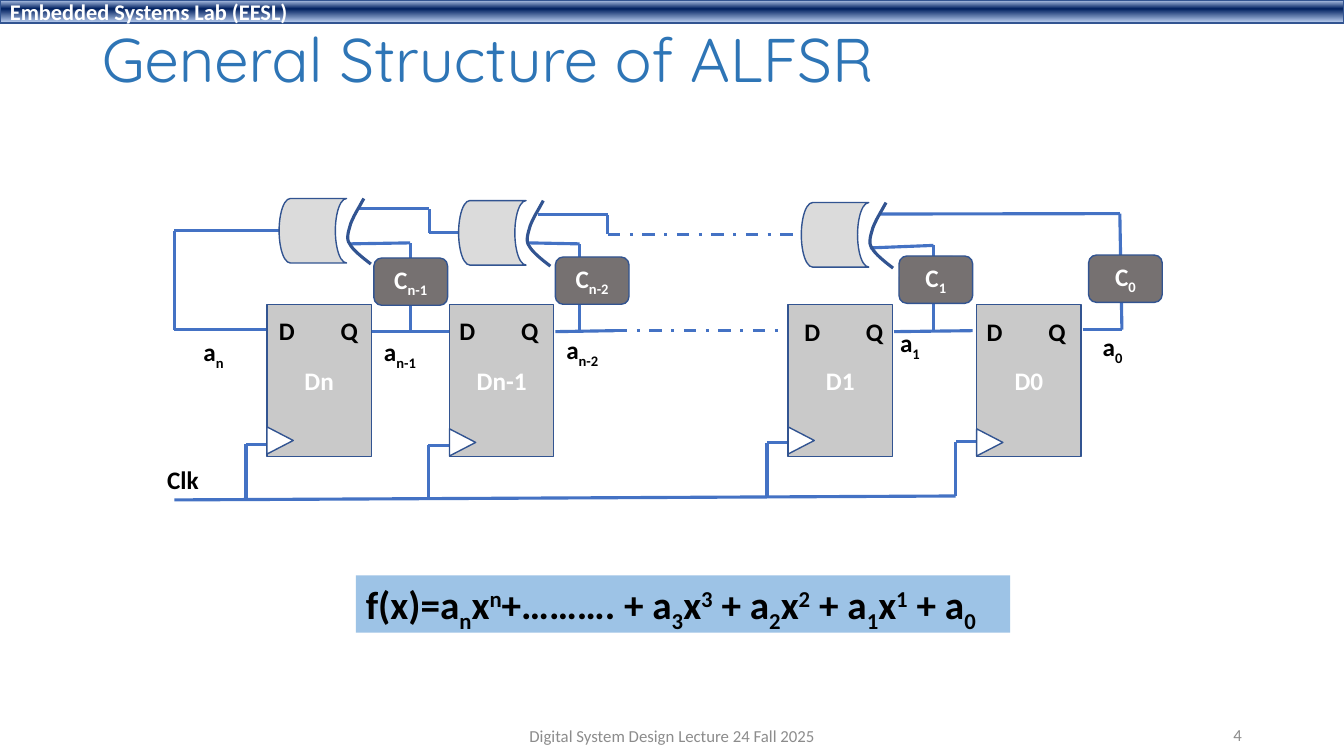
from lxml.etree import SubElement
from pptx import Presentation
from pptx.dml.color import RGBColor as RGB
from pptx.enum.dml import MSO_LINE_DASH_STYLE as DASH
from pptx.enum.shapes import MSO_CONNECTOR as CONN, MSO_SHAPE as SHAPE
from pptx.enum.text import MSO_ANCHOR as ANCHOR, MSO_AUTO_SIZE as AUTO, PP_ALIGN as ALIGN
from pptx.oxml.ns import qn
from pptx.util import Pt


class Theme:
    body_font, title_font = "Calibri", "Quicksand"
    title, wire, outline = "2E75B6", "4472C4", "325491"
    flop, gate, tap, formula = "C9C9C9", "DBDBDB", "767171", "9DC3E6"
    black, white, muted = "000000", "FFFFFF", "8C8C8C"
    header = [(2, "ABC0E4"), (38, "002060"), (93, "ACC1E5")]
    title_size, formula_size, label_size, header_size, footer_size = 44, 28, 18, 16, 12
    thin, thick = 1, 2.25


def write(sp, parts, size, color, bold=True, align=ALIGN.LEFT, anchor=ANCHOR.MIDDLE,
          wrap=True, font=Theme.body_font):
    tf = sp.text_frame
    tf.word_wrap = wrap
    tf.auto_size = AUTO.NONE if wrap else AUTO.SHAPE_TO_FIT_TEXT
    tf.vertical_anchor = anchor
    p = tf.paragraphs[0]
    p.alignment = align
    for part in parts:
        r = p.add_run()
        r.text = part.lstrip("_^")
        r.font.name, r.font.size, r.font.bold = font, Pt(size), bold
        r.font.color.rgb = RGB.from_string(color)
        if part[0] in "_^":
            r.font._element.set("baseline", "-25000" if part[0] == "_" else "30000")
    return p


def add_block(kind, x, y, w, h, fill):
    sp = slide.shapes.add_shape(kind, Pt(x), Pt(y), Pt(w), Pt(h))
    sp.shadow.inherit = False
    sp.fill.solid()
    sp.fill.fore_color.rgb = RGB.from_string(fill)
    sp.line.color.rgb = RGB.from_string(Theme.outline)
    sp.line.width = Pt(Theme.thin)
    return sp


prs = Presentation()
prs.slide_width, prs.slide_height = Pt(960), Pt(540)
slide = prs.slides.add_slide(prs.slide_layouts[5])

header = add_block(SHAPE.RECTANGLE, 0, 0, 960, 16.6, Theme.outline)
header.fill.gradient()
header.fill.gradient_angle = 270
stops = header._element.spPr.find(qn("a:gradFill")).find(qn("a:gsLst"))
for stop in list(stops):
    stops.remove(stop)
for pos, color in Theme.header:
    stop = SubElement(stops, qn("a:gs"), pos=str(pos * 1000))
    SubElement(stop, qn("a:srgbClr"), val=color)
write(header, ["Embedded Systems Lab (EESL)"], Theme.header_size, Theme.white)

title = slide.shapes.title
title.left, title.top, title.width, title.height = Pt(65.5), Pt(15.1), Pt(712), Pt(59.8)
p = write(title, ["General Structure of ALFSR"], Theme.title_size, Theme.title,
          bold=False, font=Theme.title_font)
p.line_spacing = 0.9

flops = [
    ("Dn", 190.8, 305.3, 317.2, 356.4, 192.2, 221.8),
    ("Dn-1", 321.1, 306.7, 318.2, 357.1, 321.1, 221.8),
    ("D1", 563, 305.3, 316.1, 355.7, 567.4, 222.5),
    ("D0", 697.7, 306.7, 315.4, 354.3, 697.7, 222.5),
]
gates = [(199.4, 141.8), (327.6, 143.3), (572.4, 144.7)]
taps = [("n-1", 267.1, 184.3), ("n-2", 396.7, 183.6), ("1", 642.2, 182.9), ("0", 777.6, 182.2)]

solid_routes = [
    [(682.6, 354.3), (124.6, 357.1)],
    [(199.4, 164.9), (124.6, 164.9), (124.6, 235.4), (190.8, 235.4)],
    [(265, 236.9), (321.1, 236.9)],
    [(293, 236.9), (293, 173.5), (249.8, 174.2)],
    [(327.6, 166.3), (306.7, 166.3), (306.7, 149), (256.3, 149)],
    [(396.7, 236.9), (439.2, 236.2)],
    [(414, 236.2), (414, 174.2), (377.3, 173.5)],
    [(434.2, 167), (434.2, 153.4), (384.5, 153.4)],
    [(638.6, 236.9), (694.8, 236.2)],
    [(666.7, 235.4), (666.7, 175.3), (621.4, 177.1)],
    [(773.3, 235.4), (801.4, 235.4), (799.9, 152.6), (627.8, 152.9)],
]
for name, x, arrow_y, clock_y, bus_y, pin_x, pin_y in flops:
    solid_routes.append([(x, clock_y), (x - 15.1, clock_y), (x - 15.1, bus_y)])
dashed_routes = [[(434.2, 167.8), (576, 167.8)], [(439.2, 236.2), (563, 236.2)]]

for routes, dash in [(solid_routes, None), (dashed_routes, DASH.DASH_DOT)]:
    for route in routes:
        for (x1, y1), (x2, y2) in zip(route, route[1:]):
            wire = slide.shapes.add_connector(CONN.STRAIGHT, Pt(x1), Pt(y1), Pt(x2), Pt(y2))
            wire.line.color.rgb = RGB.from_string(Theme.wire)
            wire.line.width = Pt(Theme.thick)
            wire.line.dash_style = dash
            SubElement(wire._element.spPr, qn("a:effectLst"))

for name, x, arrow_y, clock_y, bus_y, pin_x, pin_y in flops:
    flop = add_block(SHAPE.RECTANGLE, x, 217.4, 74.4, 108.7, Theme.flop)
    write(flop, [name], Theme.label_size, Theme.white, align=ALIGN.CENTER)
    arrow = add_block(SHAPE.ISOSCELES_TRIANGLE, x - 0.4, arrow_y, 19.4, 18.7, Theme.white)
    arrow.rotation = 90
    pins = slide.shapes.add_textbox(Pt(pin_x), Pt(pin_y), Pt(71.3), Pt(29))
    pPr = pins.text_frame.paragraphs[0]._p.get_or_add_pPr()
    tabs = SubElement(pPr, qn("a:tabLst"))
    SubElement(tabs, qn("a:tab"), pos=str(Pt(44)), algn="l")
    write(pins, ["D\tQ"], Theme.label_size, Theme.black, anchor=ANCHOR.TOP, wrap=False)

curve = [(60.5, 0), (56.2, 7.9), (53.3, 12.2), (51.1, 18), (49.7, 23),
         (47.5, 28.8), (50.4, 32.4), (52.6, 36.7), (59, 41.8), (65.5, 46.8)]
weights = [((1 - t) ** 3, 3 * t * (1 - t) ** 2, 3 * t * t * (1 - t), t ** 3)
           for t in (step / 8 for step in range(1, 9))]
for x, y in gates:
    add_block(SHAPE.FLOWCHART_STORED_DATA, x, y, 48.2, 46.1, Theme.gate)
    points = []
    for i in range(0, 9, 3):
        for weight in weights:
            dx = sum(k * c[0] for k, c in zip(weight, curve[i:i + 4]))
            dy = sum(k * c[1] for k, c in zip(weight, curve[i:i + 4]))
            points.append((Pt(x + dx), Pt(y + dy)))
    outline = slide.shapes.build_freeform(Pt(x + curve[0][0]), Pt(y))
    outline.add_line_segments(points, close=False)
    arc = outline.convert_to_shape()
    arc.shadow.inherit = False
    arc.fill.background()
    arc.line.color.rgb = RGB.from_string(Theme.outline)
    arc.line.width = Pt(Theme.thick)

for index, x, y in taps:
    tap = add_block(SHAPE.ROUNDED_RECTANGLE, x, y, 52.6, 33.8, Theme.tap)
    write(tap, ["C", "_" + index], Theme.label_size, Theme.white, align=ALIGN.CENTER)

labels = [
    (["Clk"], 112.3, 328.3, 37.4),
    (["a", "_n"], 138.2, 236.9, 30.2),
    (["a", "_n-1"], 267.1, 236.9, 39.6),
    (["a", "_n-2"], 397.4, 235.4, 39.6),
    (["a", "_1"], 635.8, 230.4, 29.5),
    (["a", "_0"], 780.5, 233.3, 29.5),
]
for parts, x, y, w in labels:
    label = slide.shapes.add_textbox(Pt(x), Pt(y), Pt(w), Pt(29))
    write(label, parts, Theme.label_size, Theme.black, anchor=ANCHOR.TOP, wrap=False)

formula = slide.shapes.add_textbox(Pt(254.2), Pt(411), Pt(467.3), Pt(41))
formula.fill.solid()
formula.fill.fore_color.rgb = RGB.from_string(Theme.formula)
terms = ["f(x)=a", "_n", "x", "^n", "+………. + a"]
for power in "321":
    terms += ["_" + power, "x", "^" + power, " + a"]
write(formula, terms + ["_0"], Theme.formula_size, Theme.black, anchor=ANCHOR.TOP, wrap=False)

for text, x, y, w, align in [
    ("Digital System Design Lecture 24 Fall 2025", 318.2, 511.2, 324, ALIGN.CENTER),
    ("4", 678.2, 510.5, 216, ALIGN.RIGHT),
]:
    footer = slide.shapes.add_textbox(Pt(x), Pt(y), Pt(w), Pt(28.8))
    write(footer, [text], Theme.footer_size, Theme.muted, bold=False, align=align)

prs.save("out.pptx")
